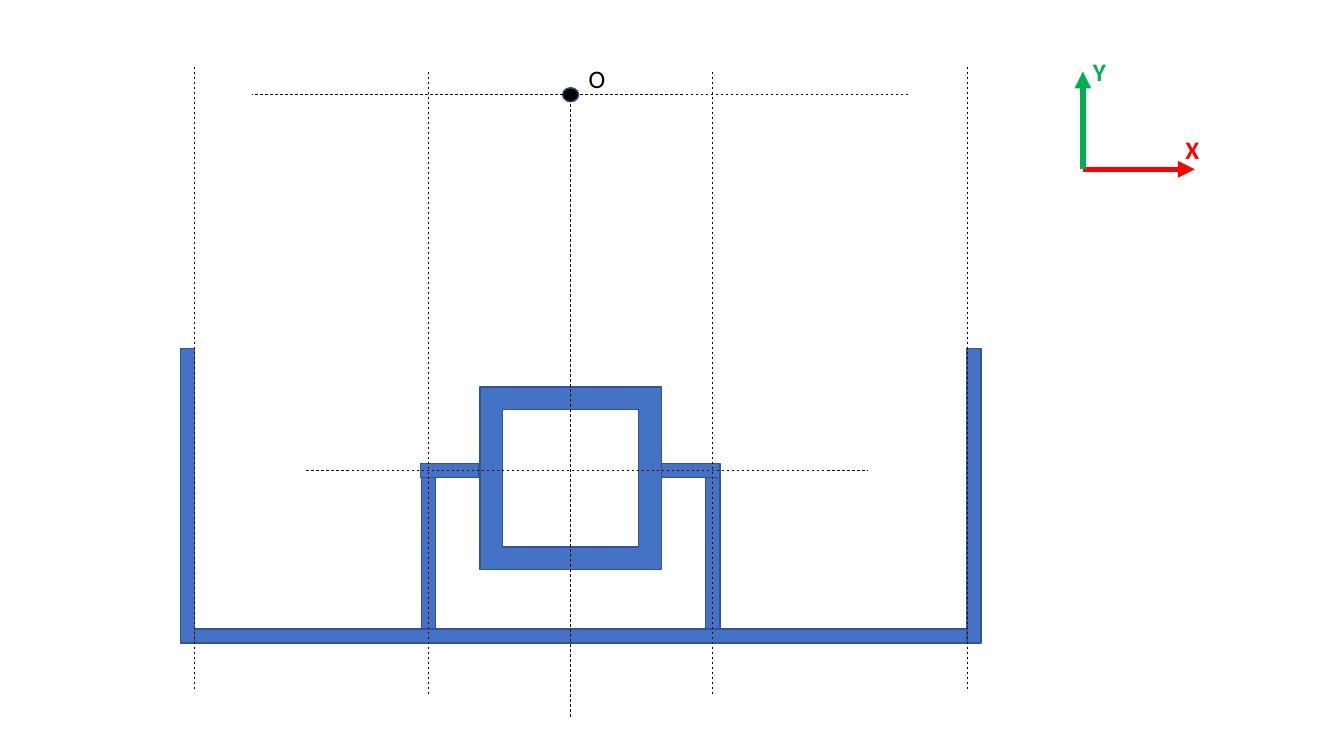
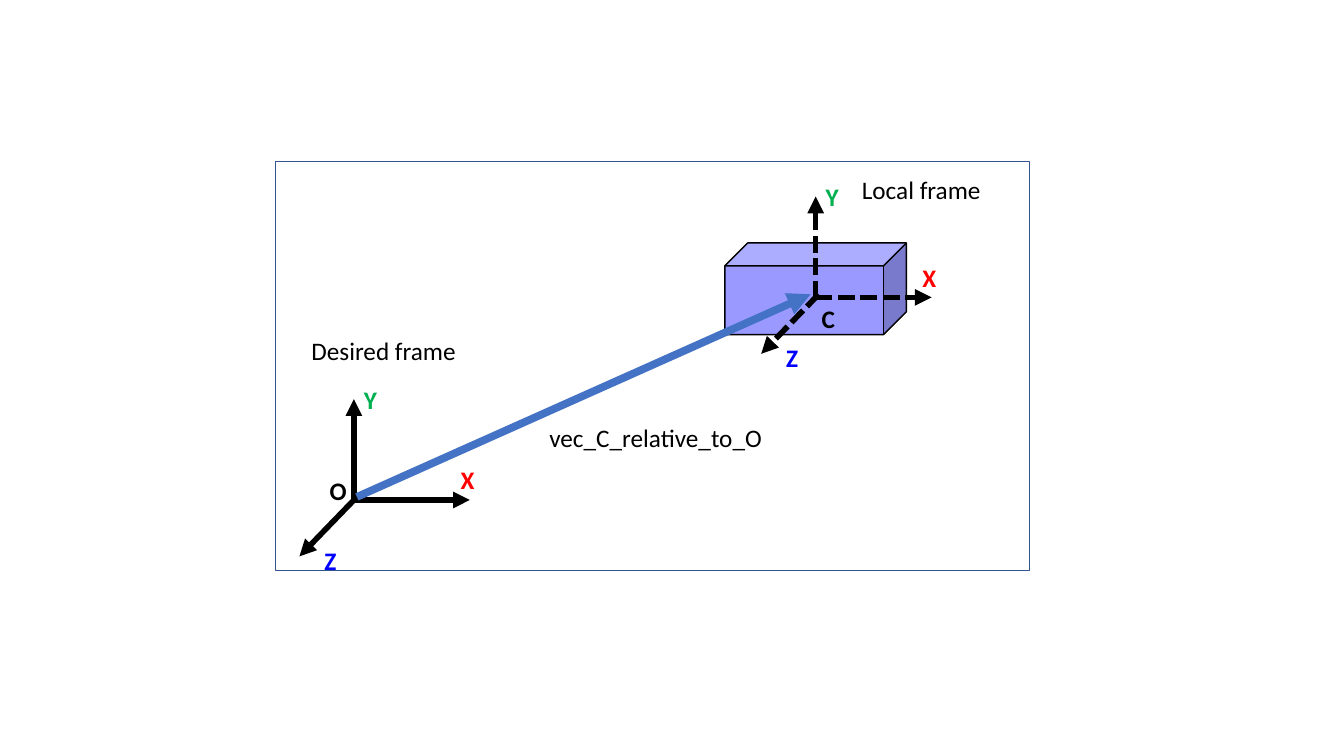
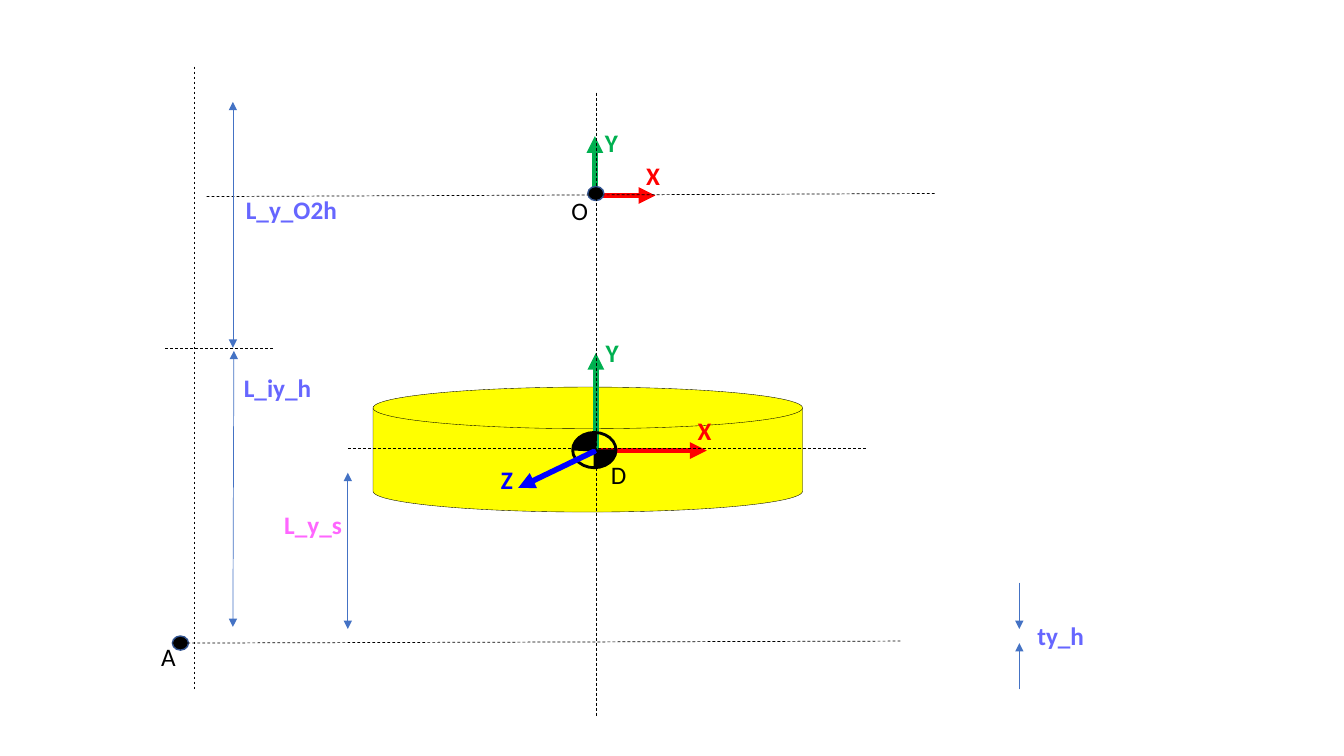
from pptx import Presentation
from pptx.dml.color import RGBColor
from pptx.enum.dml import MSO_LINE
from pptx.enum.shapes import MSO_CONNECTOR, MSO_SHAPE
from pptx.enum.text import MSO_AUTO_SIZE
from pptx.oxml.ns import qn
from pptx.util import Pt
from lxml import etree

EMU_PER_PX = 9144
SLIDE_W, SLIDE_H = 1333, 750
BLANK_LAYOUT = 6
FONT = "Calibri"
FONT_SIZE = 18
LABEL_H = 40
AXIS_PT, DIMENSION_PT, GUIDE_PT = 4, 0.5, 0.5

BLACK = RGBColor(0x00, 0x00, 0x00)
BLUE = RGBColor(0x44, 0x72, 0xC4)
DARK_BLUE = RGBColor(0x32, 0x54, 0x91)
RED = RGBColor(0xFF, 0x00, 0x00)
GREEN = RGBColor(0x00, 0xB0, 0x50)
Z_BLUE = RGBColor(0x00, 0x00, 0xFF)
LILAC = RGBColor(0x99, 0x99, 0xFF)
VIOLET = RGBColor(0x66, 0x66, 0xFF)
PINK = RGBColor(0xFF, 0x66, 0xFF)
YELLOW = RGBColor(0xFF, 0xFF, 0x00)

DASH, SHORT_DASH = MSO_LINE.DASH, MSO_LINE.SQUARE_DOT
STRAIGHT = MSO_CONNECTOR.STRAIGHT
RECT, FRAME, OVAL = MSO_SHAPE.RECTANGLE, MSO_SHAPE.FRAME, MSO_SHAPE.OVAL
CUBE, PIE, DISK = MSO_SHAPE.CUBE, MSO_SHAPE.PIE, MSO_SHAPE.FLOWCHART_MAGNETIC_DISK
FIT_TEXT = MSO_AUTO_SIZE.SHAPE_TO_FIT_TEXT


def px(*lengths):
    """Turn pixel lengths into EMU."""
    return [length * EMU_PER_PX for length in lengths]


def solid(slide, kind, box, fill=BLUE, outline=DARK_BLUE, outline_pt=1):
    """Draw a preset shape, hollow when fill is None."""
    body = slide.shapes.add_shape(kind, *px(*box))
    body.shadow.inherit = False
    if fill is None:
        body.fill.background()
    else:
        body.fill.solid()
        body.fill.fore_color.rgb = fill
    body.line.color.rgb = outline
    body.line.width = Pt(outline_pt)
    return body


def stroke(slide, start, end, color, width_pt, dash=None, ends=()):
    """Draw a straight line with triangles at the named ends."""
    link = slide.shapes.add_connector(STRAIGHT, *px(*start, *end))
    link.line.color.rgb = color
    link.line.width = Pt(width_pt)
    if dash is not None:
        link.line.dash_style = dash
    properties = link._element.spPr
    for end_name in ends:
        etree.SubElement(properties.find(qn("a:ln")), qn(f"a:{end_name}"), type="triangle")
    etree.SubElement(properties, qn("a:effectLst"))


def guide(slide, start, end):
    """Draw a thin dashed construction line."""
    stroke(slide, start, end, BLACK, GUIDE_PT, DASH)


def arrow(slide, start, tip, color, width_pt=AXIS_PT, dash=None):
    """Draw an arrow pointing at tip."""
    stroke(slide, start, tip, color, width_pt, dash, ["tailEnd"])


def dimension(slide, start, end):
    """Draw a thin double-headed measuring arrow."""
    stroke(slide, start, end, BLUE, DIMENSION_PT, ends=["headEnd", "tailEnd"])


def label(slide, text, x, y, width, color=BLACK, bold=False):
    """Write one line of unwrapped text."""
    frame = slide.shapes.add_textbox(*px(x, y, width, LABEL_H)).text_frame
    frame.word_wrap = False
    frame.auto_size = FIT_TEXT
    frame.text = text
    font = frame.paragraphs[0].runs[0].font
    font.name, font.size, font.bold = FONT, Pt(FONT_SIZE), bold
    font.color.rgb = color


def axes(slide, origin, x_length, y_length, colors=(RED, GREEN), dash=None, y_rise=20):
    """Draw X and Y axes from origin with coloured letters."""
    x, y = origin
    x_color, y_color = colors
    arrow(slide, origin, (x + x_length, y), x_color, dash=dash)
    arrow(slide, origin, (x, y - y_length), y_color, dash=dash)
    label(slide, "X", x + x_length - 19, y - 40, 34, RED, True)
    label(slide, "Y", x, y - y_length - y_rise, 34, GREEN, True)


def z_axis(slide, start, tip, offset, color=Z_BLUE, dash=None):
    """Draw a slanted Z axis with its letter offset from the tip."""
    arrow(slide, start, tip, color, dash=dash)
    label(slide, "Z", tip[0] + offset[0], tip[1] + offset[1], 33, Z_BLUE, True)


def point(slide, x, y):
    """Draw a black reference point centred on x, y."""
    solid(slide, OVAL, (x - 8, y - 7, 16, 14), BLACK)


def section_slide(slide):
    """Draw the channel section with its supported square tube."""
    for wall_x in (179, 959):
        solid(slide, RECT, (wall_x, 346, 14, 292))
    solid(slide, RECT, (193, 624, 766, 14))
    for post_x in (418, 700):
        solid(slide, RECT, (post_x, 474, 14, 150))
    solid(slide, FRAME, (476, 384, 180, 181))
    for bracket_x in (417, 656):
        solid(slide, RECT, (bracket_x, 460, 58, 14))
    guide(slide, (304, 467), (861, 467))
    axes(slide, (1074, 168), 111, 97)
    point(slide, 566, 94)
    guide(slide, (901, 94), (250, 94))
    for guide_x, top in ((193, 66), (425, 71), (566, 93), (707, 71), (959, 66)):
        guide(slide, (guide_x, top), (guide_x, top + 618))
    label(slide, "O", 574, 58, 37)


def frames_slide(slide):
    """Draw the local frame's position relative to the desired frame."""
    solid(slide, CUBE, (719, 241, 180, 91), LILAC, BLACK)
    for (x, y), dash in (((809, 295), SHORT_DASH), ((351, 496), None)):
        axes(slide, (x, y), 115, 100, (BLACK, BLACK), dash)
        z_axis(slide, (x + 3, y - 3), (x - 54, y + 56), (15, -16), BLACK, dash)
    arrow(slide, (354, 493), (804, 292), BLUE, 5.5)
    label(slide, "vec_C_relative_to_O", 535, 414, 235)
    label(slide, "Local frame", 845, 168, 139)
    label(slide, "Desired frame", 299, 328, 165)
    label(slide, "O", 317, 467, 37, bold=True)
    label(slide, "C", 805, 296, 34, bold=True)
    solid(slide, RECT, (273, 160, 748, 406), None)


def mass_centre(slide):
    """Draw the quartered centre-of-mass symbol."""
    for x, y, turn in ((569, 430, 3.3), (568, 429, 180)):
        quarter = solid(slide, PIE, (x, y, 43, 35), BLACK, BLACK)
        quarter.adjustments[0], quarter.adjustments[1] = 108, 162
        quarter.rotation = turn
    solid(slide, OVAL, (568, 429, 43, 35), None, BLACK, 2)


def disk_slide(slide):
    """Draw the disk with its heights measured from point A."""
    solid(slide, DISK, (370, 384, 426, 124), YELLOW, BLACK, 0.25)
    axes(slide, (591, 447), 110, 97)
    mass_centre(slide)
    z_axis(slide, (591, 447), (514, 484), (-27, -28))
    axes(slide, (590, 194), 60, 59, y_rise=14)
    point(slide, 591, 192)
    point(slide, 179, 638)
    for start, end in (
        ((927, 192), (204, 195)),
        ((591, 92), (591, 710)),
        ((193, 66), (193, 684)),
        ((164, 346), (272, 346)),
        ((345, 445), (860, 445)),
        ((893, 636), (171, 638)),
    ):
        guide(slide, start, end)
    dimension(slide, (231, 101), (231, 345))
    dimension(slide, (232, 348), (231, 622))
    dimension(slide, (345, 469), (345, 624))
    for start_y, tip_y in ((578, 624), (684, 638)):
        arrow(slide, (1011, start_y), (1011, tip_y), BLUE, DIMENSION_PT)
    for text, x, y, width, color in (
        ("L_y_O2h", 234, 188, 110, VIOLET),
        ("L_iy_h", 232, 364, 88, VIOLET),
        ("L_y_s", 272, 500, 78, PINK),
        ("ty_h", 1019, 611, 67, VIOLET),
    ):
        label(slide, text, x, y, width, color, True)
    for name, x, y in (("A", 150, 631), ("O", 557, 189), ("D", 596, 451)):
        label(slide, name, x, y, 36)


def main():
    """Build and save the three slides."""
    deck = Presentation()
    deck.slide_width, deck.slide_height = px(SLIDE_W, SLIDE_H)
    for draw in (section_slide, frames_slide, disk_slide):
        draw(deck.slides.add_slide(deck.slide_layouts[BLANK_LAYOUT]))
    deck.save("out.pptx")


if __name__ == "__main__":
    main()
